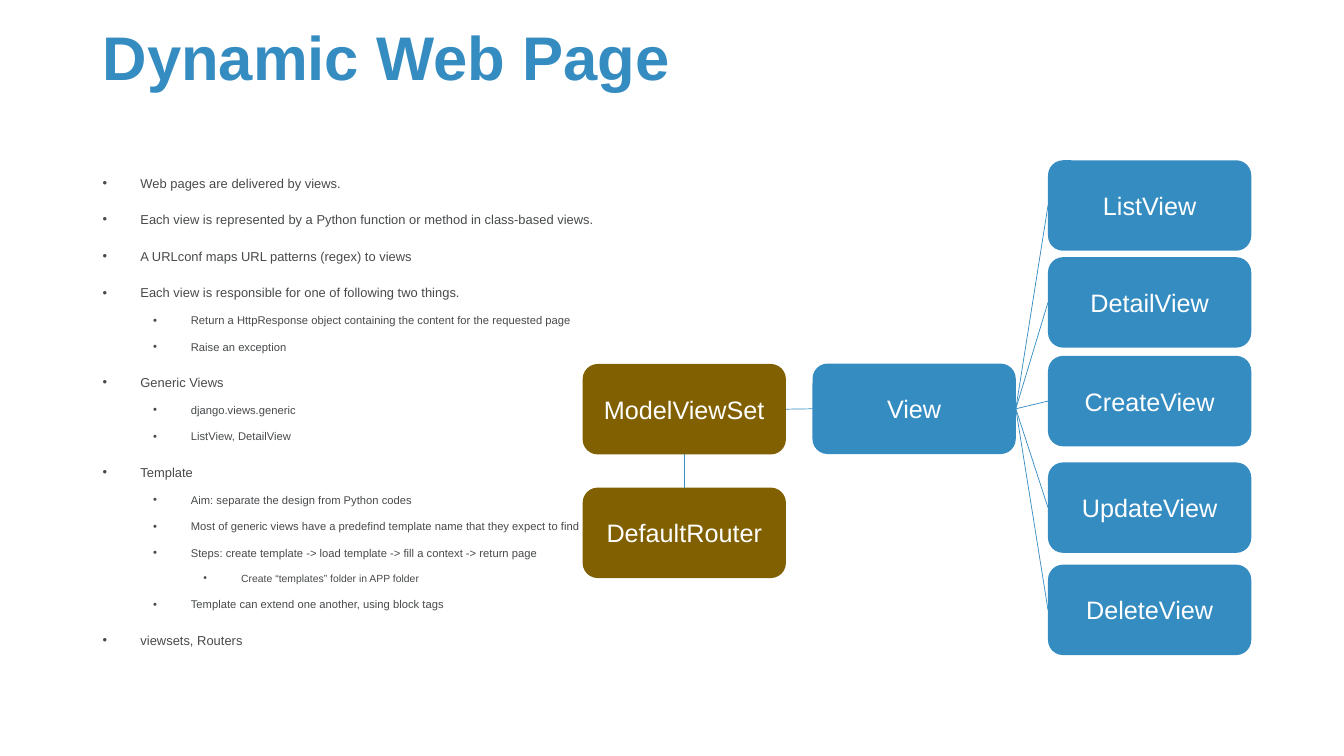
"""Build the Dynamic Web Page slide: notes on views beside a class diagram."""
import pptx
import pptx.util
import pptx.dml.color
import pptx.enum.shapes
import pptx.enum.text
import pptx.oxml.ns
import lxml.etree

Pt = pptx.util.Pt
BLUE = pptx.dml.color.RGBColor(0x35, 0x8C, 0xC1)
BROWN = pptx.dml.color.RGBColor(0x80, 0x60, 0x00)
GREY = pptx.dml.color.RGBColor(0x47, 0x49, 0x4B)
WHITE = pptx.dml.color.RGBColor(0xFF, 0xFF, 0xFF)
FONT = "Arial"
TOP, LEFT, BOTTOM, RIGHT = range(4)

presentation = pptx.Presentation()
presentation.slide_width = Pt(960)
presentation.slide_height = Pt(540)
slide = presentation.slides.add_slide(presentation.slide_layouts[6])


def add_class(name, left, top, color):
    box = slide.shapes.add_shape(
        pptx.enum.shapes.MSO_SHAPE.ROUNDED_RECTANGLE, Pt(left), Pt(top), Pt(145.2), Pt(64.6))
    box.shadow.inherit = False
    box.fill.solid()
    box.fill.fore_color.rgb = color
    box.line.fill.background()
    box.text_frame.word_wrap = True
    box.text_frame.vertical_anchor = pptx.enum.text.MSO_ANCHOR.MIDDLE
    label = box.text_frame.paragraphs[0]
    label.text = name
    label.alignment = pptx.enum.text.PP_ALIGN.CENTER
    label.font.name = FONT
    label.font.size = Pt(18)
    label.font.color.rgb = WHITE
    return box


def link(start, start_side, end, end_side):
    line = slide.shapes.add_connector(pptx.enum.shapes.MSO_CONNECTOR.STRAIGHT, 0, 0, 0, 0)
    line.begin_connect(start, start_side)
    line.end_connect(end, end_side)
    line.line.color.rgb = BLUE
    line.line.width = Pt(0.5)
    lxml.etree.SubElement(line._element.spPr, pptx.oxml.ns.qn("a:effectLst"))


title = slide.shapes.add_textbox(Pt(66.24), Pt(14.4), Pt(828), Pt(57.6)).text_frame
title.word_wrap = True
title.vertical_anchor = pptx.enum.text.MSO_ANCHOR.MIDDLE
heading = title.paragraphs[0]
heading.text = "Dynamic Web Page"
heading.line_spacing = 0.9
heading.font.name = FONT
heading.font.size = Pt(44)
heading.font.bold = True
heading.font.color.rgb = BLUE

NOTES = [
    (0, "Web pages are delivered by views."),
    (0, "Each view is represented by a Python function or method in class-based views."),
    (0, "A URLconf maps URL patterns (regex) to views"),
    (0, "Each view is responsible for one of following two things."),
    (1, "Return a HttpResponse object containing the content for the requested page"),
    (1, "Raise an exception"),
    (0, "Generic Views"),
    (1, "django.views.generic"),
    (1, "ListView, DetailView"),
    (0, "Template"),
    (1, "Aim: separate the design from Python codes"),
    (1, "Most of generic views have a predefind template name that they expect to find"),
    (1, "Steps: create template -> load template -> fill a context -> return page"),
    (2, "Create “templates” folder in APP folder"),
    (1, "Template can extend one another, using block tags"),
    (0, "viewsets, Routers"),
]
SIZES = [9.2, 8, 7.4]
GAPS = [10, 5, 5]

notes = slide.shapes.add_textbox(Pt(66.24), Pt(116.5), Pt(463), Pt(336)).text_frame
notes.word_wrap = True
for index, (level, text) in enumerate(NOTES):
    note = notes.add_paragraph() if index else notes.paragraphs[0]
    note.text = text
    note.level = level
    note.line_spacing = 1.46
    note.space_before = Pt(GAPS[level] if index else 0)
    properties = note._p.get_or_add_pPr()
    properties.set("marL", str(Pt(27 + 36 * level)))
    properties.set("indent", str(-Pt(27)))
    bullet_font = lxml.etree.SubElement(properties, pptx.oxml.ns.qn("a:buFont"))
    bullet_font.set("typeface", FONT)
    bullet = lxml.etree.SubElement(properties, pptx.oxml.ns.qn("a:buChar"))
    bullet.set("char", "•")
    note.font.name = FONT
    note.font.size = Pt(SIZES[level])
    note.font.color.rgb = GREY

view = add_class("View", 580.4, 259.7, BLUE)
GENERIC_VIEWS = [
    ("ListView", 114.5),
    ("DetailView", 183.7),
    ("CreateView", 254.2),
    ("UpdateView", 330.3),
    ("DeleteView", 403.3),
]
for name, top in GENERIC_VIEWS:
    link(view, RIGHT, add_class(name, 748.6, top, BLUE), LEFT)

model_view_set = add_class("ModelViewSet", 416.2, 260, BROWN)
default_router = add_class("DefaultRouter", 416.2, 348.3, BROWN)
link(model_view_set, RIGHT, view, LEFT)
link(model_view_set, BOTTOM, default_router, TOP)

presentation.save("out.pptx")
